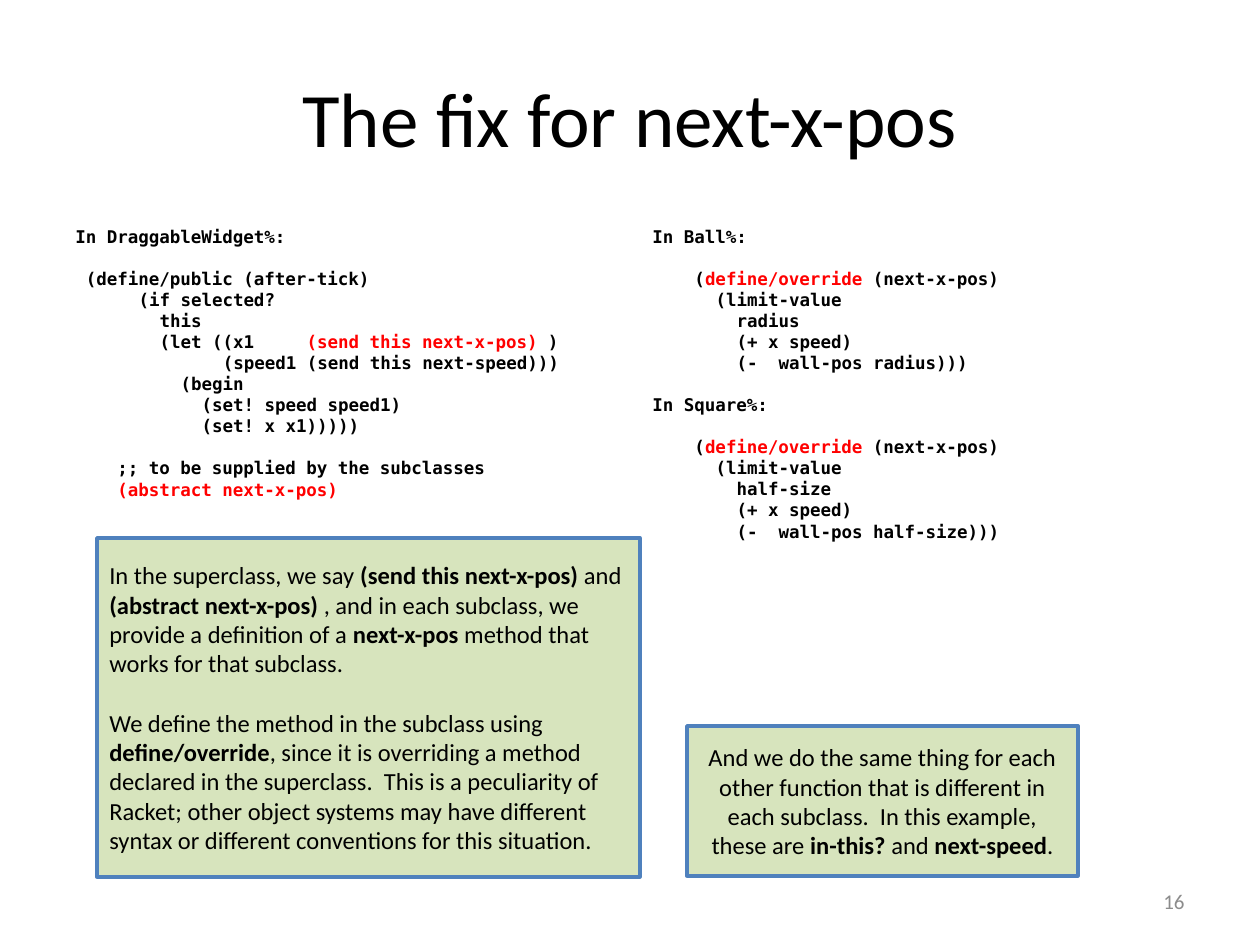
from pptx import Presentation
from pptx.dml.color import RGBColor
from pptx.enum.shapes import MSO_SHAPE as SHAPE
from pptx.enum.text import MSO_ANCHOR as ANCHOR, PP_ALIGN as ALIGN
from pptx.util import Emu, Pt

SCALE = 914400 / 126
SANS, MONO = "Calibri", "DejaVu Sans Mono"
BLACK, RED, GRAY = "000000", "FF0000", "8C8C8C"
GREEN, BLUE = "D7E4BD", "4F81BD"

WIDGET_CODE = """In DraggableWidget%:

 (define/public (after-tick)
      (if selected?
        this
        (let ((x1     |(send this next-x-pos) |)
              (speed1 (send this next-speed)))
          (begin
            (set! speed speed1)
            (set! x x1)))))

    ;; to be supplied by the subclasses
    |(abstract next-x-pos)|"""

SUBCLASS_CODE = """In {name}%:

    (|define/override| (next-x-pos)
      (limit-value
        {size}
        (+ x speed)
        (-  wall-pos {size})))"""

SUPERCLASS_NOTE = [
    "In the superclass, we say |(send this next-x-pos) |and |(abstract next-x-pos) |"
    ", and in each subclass, we provide a definition of a |next-x-pos| method that "
    "works for that subclass.",
    "We define the method in the subclass using |define/override|, since it is "
    "overriding a method declared in the superclass.  This is a peculiarity of "
    "Racket; other object systems may have different syntax or different "
    "conventions for this situation.",
]

SAME_NOTE = [
    "And we do the same thing for each other function that is different in each "
    "subclass.  In this example,",
    "these are |in-this? |and |next-speed|.",
]


def rgb(color):
    return RGBColor.from_string(color)


def px(*lengths):
    return [Emu(round(n * SCALE)) for n in lengths]


class Deck:
    def __init__(self, width, height):
        self.prs = Presentation()
        self.prs.slide_width, self.prs.slide_height = px(width, height)
        self.s = self.prs.slides.add_slide(self.prs.slide_layouts[5])

    def runs(self, p, text, size, font=SANS, color=BLACK, bold=False,
             marked_color=None):
        for i, part in enumerate(text.split("|")):
            if part:
                marked = i % 2 == 1
                r = p.add_run()
                r.text = part
                r.font.size, r.font.name = Pt(size), font
                r.font.bold = bold or marked
                r.font.color.rgb = rgb(marked_color if marked and marked_color else color)

    def paragraphs(self, tf, count):
        return [tf.paragraphs[0]] + [tf.add_paragraph() for _ in range(count - 1)]

    def title(self, text, box):
        sp = self.s.shapes.title
        sp.left, sp.top, sp.width, sp.height = px(*box)
        tf = sp.text_frame
        tf.vertical_anchor = ANCHOR.MIDDLE
        p = tf.paragraphs[0]
        p.alignment = ALIGN.CENTER
        self.runs(p, text, 44)

    def text_box(self, box):
        tf = self.s.shapes.add_textbox(*px(*box)).text_frame
        tf.word_wrap = True
        return tf

    def code(self, source, box):
        tf = self.text_box(box)
        lines = source.split("\n")
        shown = [(i, line) for i, line in enumerate(lines) if line]
        for p, (i, line) in zip(self.paragraphs(tf, len(shown)), shown):
            text = line.lstrip()
            pPr = p._p.get_or_add_pPr()
            pPr.set("marL", str(Pt(6.02 * (len(line) - len(text)))))
            pPr.set("indent", "0")
            if i and not lines[i - 1]:
                p.space_before = Pt(12)
            self.runs(p, text, 10, MONO, bold=True, marked_color=RED)

    def note(self, texts, box, align, gap=0):
        sp = self.s.shapes.add_shape(SHAPE.RECTANGLE, *px(*box))
        sp.shadow.inherit = False
        sp.fill.solid()
        sp.fill.fore_color.rgb = rgb(GREEN)
        sp.line.color.rgb = rgb(BLUE)
        sp.line.width = Pt(2)
        tf = sp.text_frame
        tf.word_wrap = True
        tf.vertical_anchor = ANCHOR.MIDDLE
        for i, (p, text) in enumerate(zip(self.paragraphs(tf, len(texts)), texts)):
            p.alignment = align
            p.space_before = Pt(gap if i else 0)
            self.runs(p, text, 14)

    def page_number(self, text, box):
        tf = self.text_box(box)
        tf.vertical_anchor = ANCHOR.MIDDLE
        p = tf.paragraphs[0]
        p.alignment = ALIGN.RIGHT
        self.runs(p, text, 12, color=GRAY)


deck = Deck(1260, 945)
deck.title("The fix for next-x-pos", (63, 38, 1134, 158))
deck.code(WIDGET_CODE, (63, 220, 557, 624))
subclasses = [("Ball", "radius"), ("Square", "half-size")]
deck.code("\n\n".join(SUBCLASS_CODE.format(name=n, size=z) for n, z in subclasses),
          (640, 220, 557, 624))
deck.page_number("16", (903, 876, 294, 50))
deck.note(SUPERCLASS_NOTE, (97, 538, 543, 339), ALIGN.LEFT, gap=17)
deck.note(SAME_NOTE, (687, 726, 391, 150), ALIGN.CENTER)
deck.prs.save("out.pptx")
